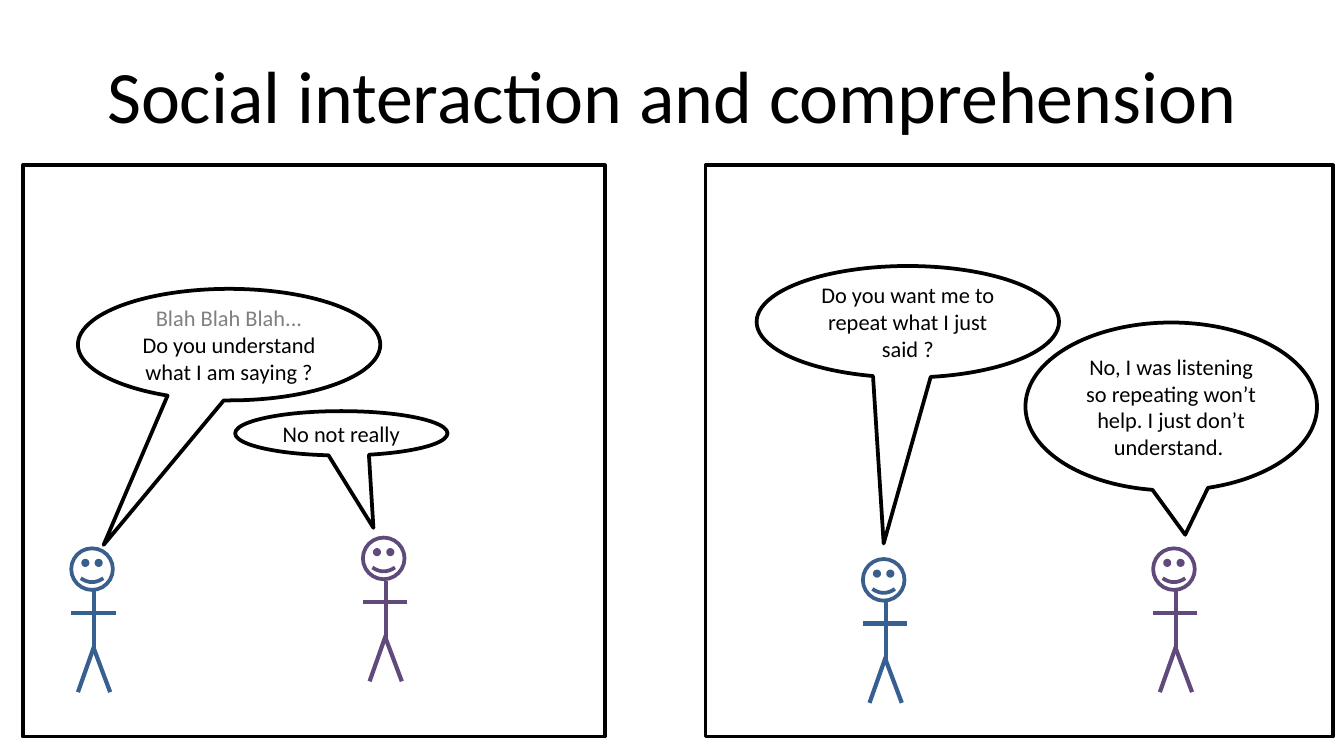
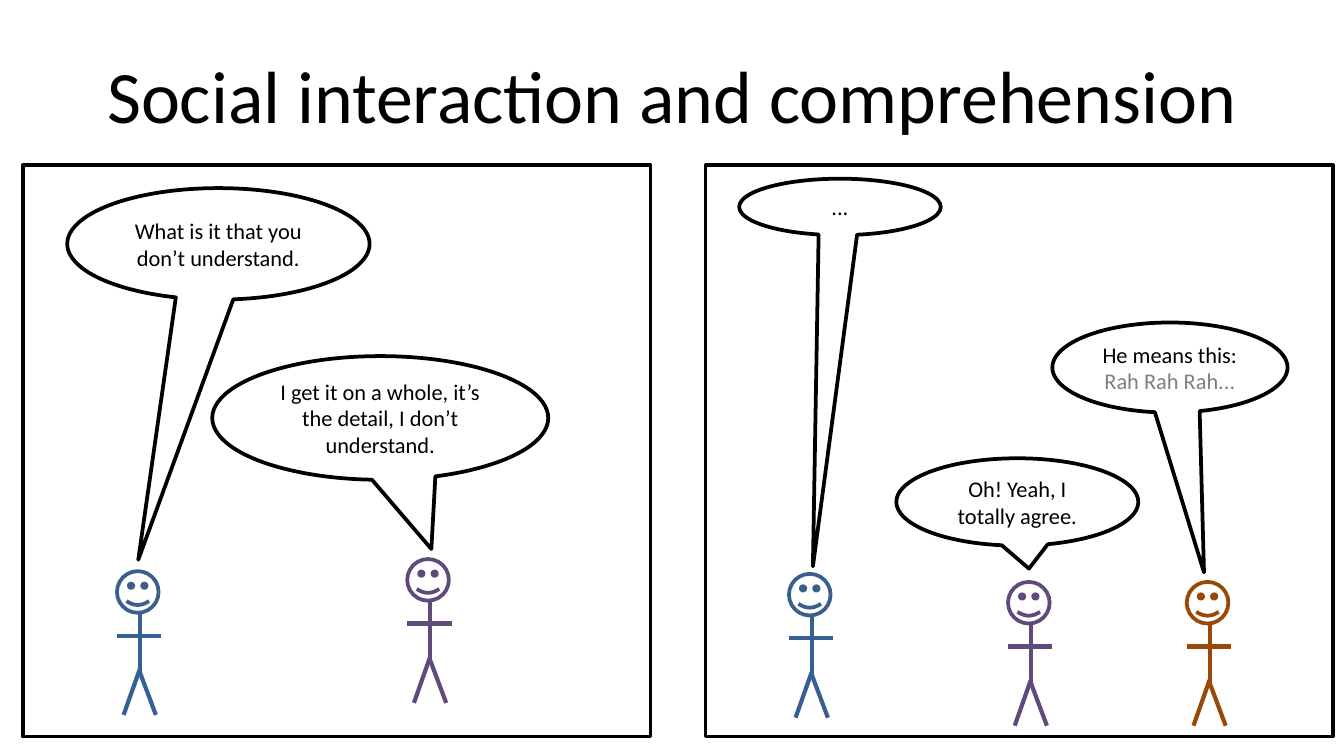
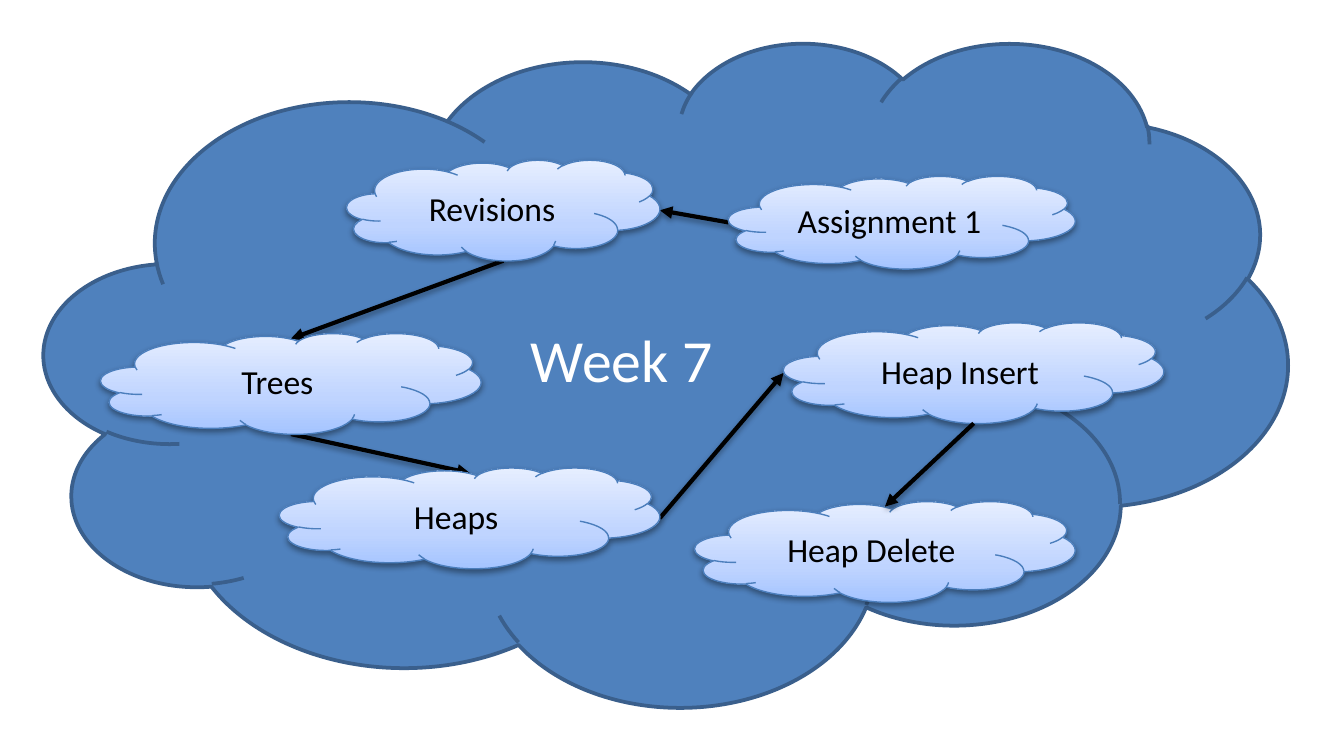
"""Builds two comic-strip slides about comprehension and a topic map for week 7."""
import pptx
import pptx.dml.color
import pptx.enum.shapes
import pptx.enum.text
import pptx.oxml
import pptx.oxml.ns
import pptx.util
from pptx.dml.color import RGBColor
from pptx.enum.shapes import MSO_SHAPE
from pptx.util import Inches

BLACK = RGBColor(0x00, 0x00, 0x00)
WHITE = RGBColor(0xFF, 0xFF, 0xFF)
GREY = RGBColor(0x80, 0x80, 0x80)
BLUE = RGBColor(0x37, 0x60, 0x92)
FACE_BLUE = RGBColor(0x3A, 0x5F, 0x8C)
PURPLE = RGBColor(0x60, 0x4A, 0x7B)
BROWN = RGBColor(0x98, 0x48, 0x07)
SKY = RGBColor(0x4F, 0x81, 0xBD)
CLOUD_EDGE = RGBColor(0x4B, 0x7E, 0xBC)

FONT = "Calibri"
NAMESPACE = pptx.oxml.ns.nsdecls("a")
SHADOW = (
    f'<a:outerShdw {NAMESPACE} blurRad="40000" dist="20000" dir="5400000" rotWithShape="0">'
    '<a:srgbClr val="000000"><a:alpha val="38000"/></a:srgbClr></a:outerShdw>'
)
GRADIENT = (
    f'<a:gradFill {NAMESPACE} rotWithShape="1"><a:gsLst>'
    '<a:gs pos="0"><a:srgbClr val="A4C4FF"/></a:gs>'
    '<a:gs pos="35000"><a:srgbClr val="BFD4FF"/></a:gs>'
    '<a:gs pos="100000"><a:srgbClr val="E6EEFF"/></a:gs>'
    '</a:gsLst><a:lin ang="16200000" scaled="0"/></a:gradFill>'
)


def add_outlined(slide, kind, box, color, width=2, lines=(), size=12):
    """Adds an unfilled shape with centred lines of (text, color)."""
    shape = slide.shapes.add_shape(kind, *map(Inches, box))
    shape.shadow.inherit = False
    shape.fill.background()
    shape.line.color.rgb = color
    shape.line.width = pptx.util.Pt(width)
    frame = shape.text_frame
    frame.word_wrap = True
    frame.vertical_anchor = pptx.enum.text.MSO_ANCHOR.MIDDLE
    for index, (text, text_color) in enumerate(lines):
        paragraph = frame.add_paragraph() if index else frame.paragraphs[0]
        paragraph.text = text
        paragraph.alignment = pptx.enum.text.PP_ALIGN.CENTER
        paragraph.font.name = FONT
        paragraph.font.size = pptx.util.Pt(size)
        paragraph.font.color.rgb = text_color
    return shape


def add_line(slide, start, end, color):
    """Adds a straight line without a shadow."""
    line = slide.shapes.add_connector(
        pptx.enum.shapes.MSO_CONNECTOR.STRAIGHT, *map(Inches, (*start, *end)))
    line.line.color.rgb = color
    line.line.width = pptx.util.Pt(2.25)
    line._element.spPr.append(pptx.oxml.parse_xml(f"<a:effectLst {NAMESPACE}/>"))
    return line


presentation = pptx.Presentation()
presentation.slide_width = Inches(10)
presentation.slide_height = Inches(10 * 9 / 16)
blank_layout = presentation.slide_layouts[6]

LIMBS = [
    ((0.17, 0.32), (0.17, 0.75)),
    ((0.33, 0.48), (0, 0.48)),
    ((0.29, 1.07), (0.17, 0.75)),
    ((0.05, 1.07), (0.17, 0.73)),
]

comic_slides = [
    {
        "people": [(0.53, 4.08, BLUE), (2.7, 4, PURPLE), (6.42, 4.16, BLUE), (8.58, 4.08, PURPLE)],
        "bubbles": [
            ((0.58, 2.15, 2.25, 0.83), (-0.415, 1.796),
             [("Blah Blah Blah...", GREY), ("Do you understand what I am saying ?", BLACK)]),
            ((1.75, 3.06, 1.58, 0.33), (0.151, 2.132), [("No not really", BLACK)]),
            ((5.63, 1.98, 2.25, 0.83), (-0.08, 1.988),
             [("Do you want me to repeat what I just said ?", BLACK)]),
            ((7.63, 2.4, 2.17, 1.25), (0.048, 0.763),
             [("No, I was listening so repeating won’t help. I just don’t understand. ", BLACK)]),
        ],
        "left_panel_width": 4.33,
    },
    {
        "people": [(0.87, 4.25, BLUE), (3.03, 4.16, PURPLE), (5.87, 4.27, BLUE),
                   (7.5, 4.33, PURPLE), (8.83, 4.33, BROWN)],
        "bubbles": [
            ((0.5, 1.4, 2.25, 0.83), (-0.265, 2.833),
             [("What is it that you don’t understand.", BLACK)]),
            ((1.58, 2.65, 2.5, 0.92), (0.152, 1.06),
             [("I get it on a whole, it’s the detail, I don’t understand.", BLACK)]),
            ((5.5, 1.33, 1.5, 0.42), (-0.134, 6.366), [("...", BLACK)]),
            ((6.67, 3.41, 1.8, 0.65), (0.048, 0.763), [("Oh! Yeah, I totally agree.", BLACK)]),
            ((7.83, 2.4, 1.75, 0.67), (0.145, 2.275),
             [("He means this:", BLACK), ("Rah Rah Rah...", GREY)]),
        ],
        "left_panel_width": 4.67,
    },
]

for comic in comic_slides:
    slide = presentation.slides.add_slide(blank_layout)
    title = slide.shapes.add_textbox(Inches(0.5), Inches(0.23), Inches(9), Inches(0.94))
    title.text_frame.word_wrap = True
    title.text_frame.vertical_anchor = pptx.enum.text.MSO_ANCHOR.MIDDLE
    paragraph = title.text_frame.paragraphs[0]
    paragraph.text = "Social interaction and comprehension"
    paragraph.alignment = pptx.enum.text.PP_ALIGN.CENTER
    paragraph.font.name = FONT
    paragraph.font.size = pptx.util.Pt(39.6)
    paragraph.font.color.rgb = BLACK

    for left, top, color in comic["people"]:
        face_color = FACE_BLUE if color == BLUE else color
        add_outlined(slide, MSO_SHAPE.SMILEY_FACE, (left, top, 0.31, 0.31), face_color)
        for start, end in LIMBS:
            add_line(slide, (left + start[0], top + start[1]), (left + end[0], top + end[1]), color)

    for box, pointer, lines in comic["bubbles"]:
        bubble = add_outlined(slide, MSO_SHAPE.OVAL_CALLOUT, box, BLACK, lines=lines)
        bubble.adjustments[0], bubble.adjustments[1] = pointer

    for left, width in ((0.17, comic["left_panel_width"]), (5.25, 4.67)):
        add_outlined(slide, MSO_SHAPE.RECTANGLE, (left, 1.23, width, 4.25), BLACK)

slide = presentation.slides.add_slide(blank_layout)
week = add_outlined(slide, MSO_SHAPE.CLOUD, (0.33, 0.31, 9.25, 4.94), FACE_BLUE,
                    lines=[("Week 7", WHITE)], size=32)
week.fill.solid()
week.fill.fore_color.rgb = SKY

topics = {
    "Revisions": (2.58, 1.19, 2.33, 0.75),
    "Assignment 1": (5.42, 1.31, 2.58, 0.69),
    "Trees": (0.75, 2.48, 2.83, 0.75),
    "Heaps": (2.08, 3.48, 2.83, 0.75),
    "Heap Insert": (5.83, 2.4, 2.83, 0.75),
    "Heap Delete": (5.17, 3.73, 2.83, 0.75),
}
anchors = {}
for topic, (left, top, width, height) in topics.items():
    anchors[topic] = {
        "top": (left + width / 2, top + 0.04),
        "bottom": (left + width / 2, top + height),
        "left": (left, top + height / 2),
        "right": (left + width, top + height / 2),
    }
links_below = [
    ("Trees", "bottom", "Heaps", "top"),
    ("Heaps", "right", "Heap Insert", "left"),
    ("Assignment 1", "left", "Revisions", "right"),
    ("Revisions", "bottom", "Trees", "top"),
]
links_above = [("Heap Insert", "bottom", "Heap Delete", "top")]

for item in [*links_below, *topics, *links_above]:
    if item in topics:
        drawn = add_outlined(slide, MSO_SHAPE.CLOUD, topics[item], CLOUD_EDGE, 0.75,
                             [(item, BLACK)], 18)
        properties = drawn._element.spPr
        properties.replace(properties.find(pptx.oxml.ns.qn("a:noFill")),
                           pptx.oxml.parse_xml(GRADIENT))
    else:
        source, source_side, target, target_side = item
        drawn = add_line(slide, anchors[source][source_side], anchors[target][target_side], BLACK)
        properties = drawn._element.spPr
        properties.find(pptx.oxml.ns.qn("a:ln")).append(
            pptx.oxml.parse_xml(f'<a:tailEnd {NAMESPACE} type="triangle"/>'))
    properties.find(pptx.oxml.ns.qn("a:effectLst")).append(pptx.oxml.parse_xml(SHADOW))

presentation.save("out.pptx")
